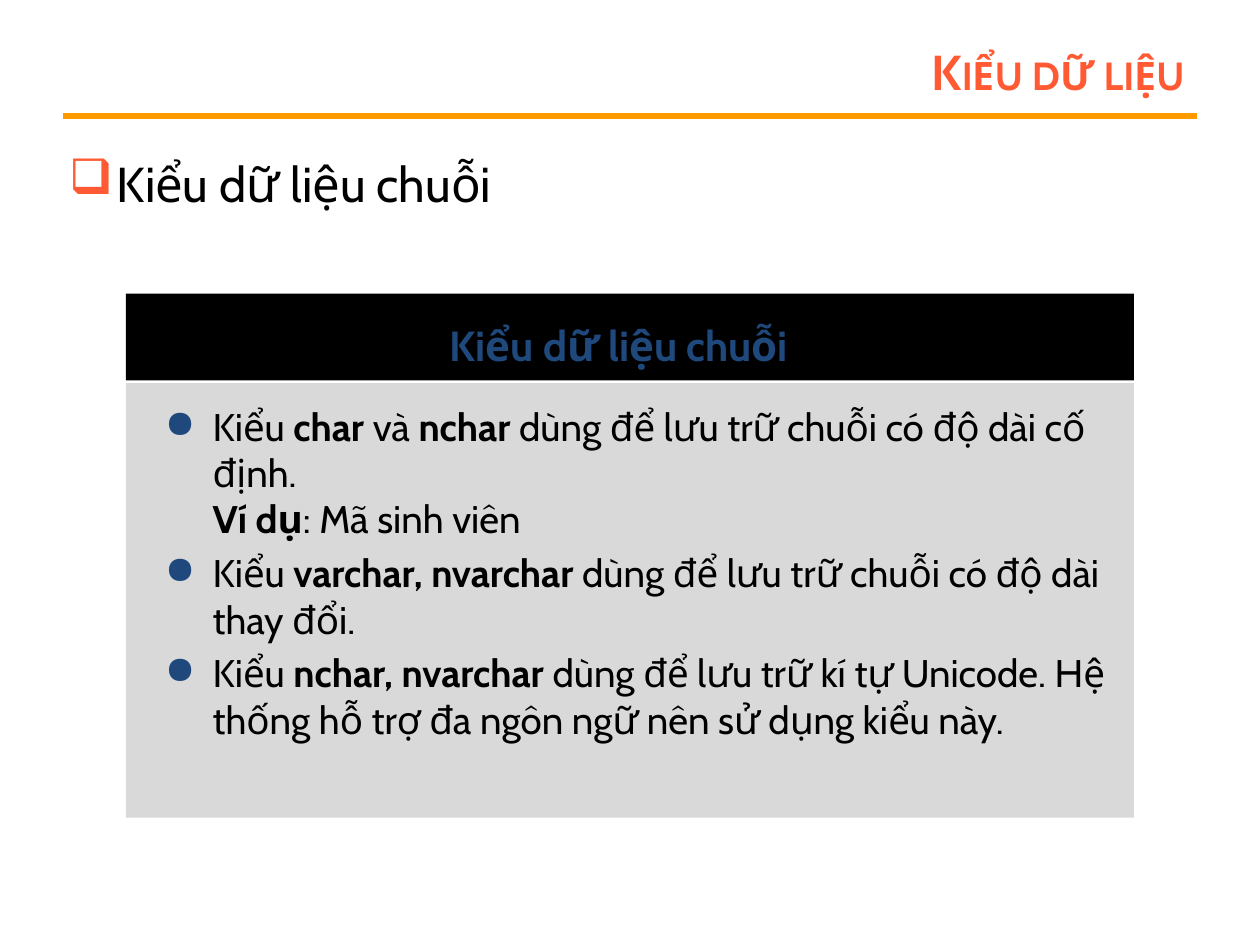
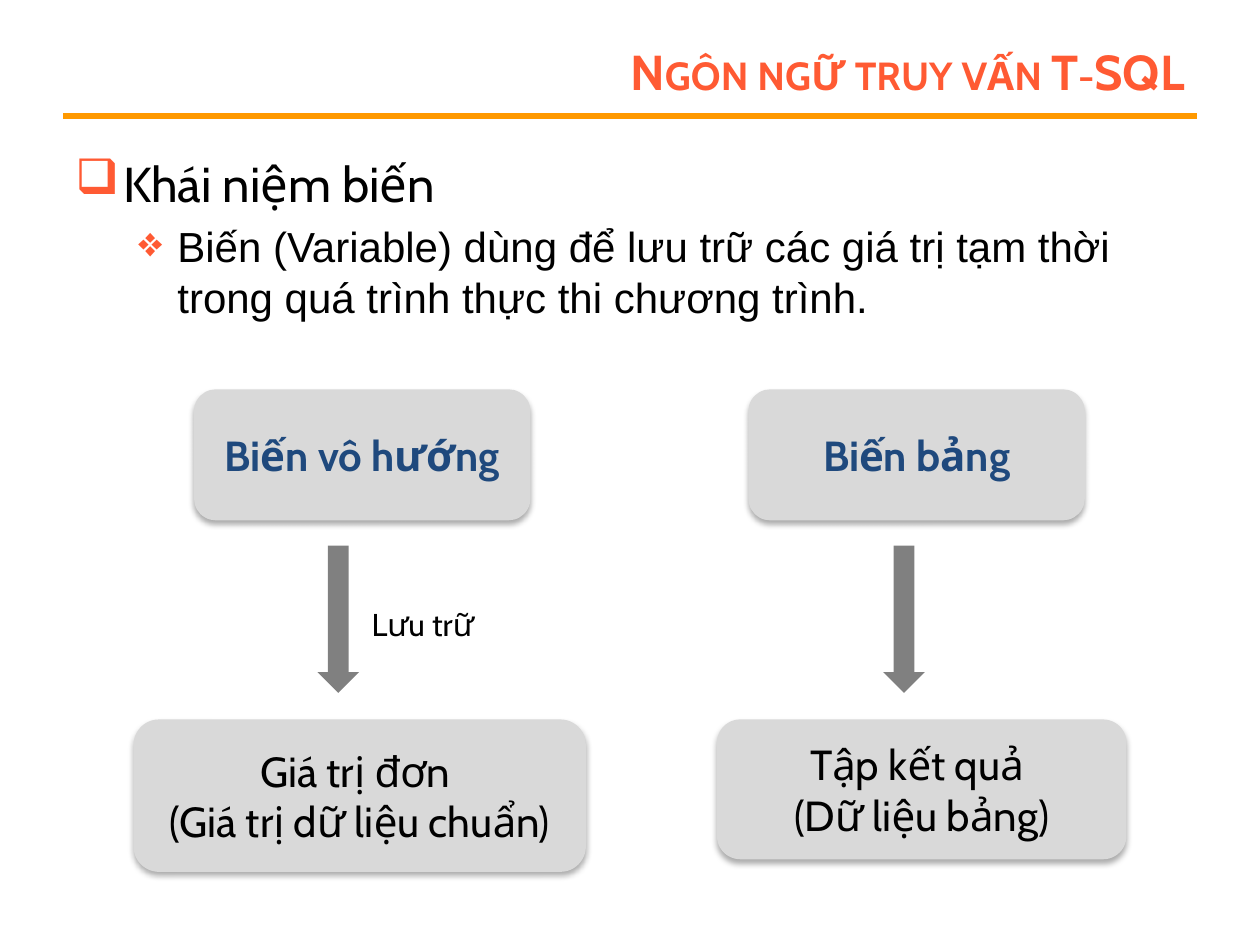
from dataclasses import dataclass

from lxml.etree import SubElement
from pptx import Presentation
from pptx.dml.color import RGBColor
from pptx.enum.shapes import MSO_CONNECTOR, MSO_SHAPE
from pptx.enum.text import MSO_ANCHOR, PP_ALIGN
from pptx.oxml.ns import qn
from pptx.util import Inches, Pt

COLORS = {
    "accent": "FF5A33",
    "rule": "FF9900",
    "navy": "1F497D",
    "text": "000000",
    "panel": "D9D9D9",
    "arrow": "808080",
}
FONT = "Cabin"


@dataclass(frozen=True)
class Box:
    left: float
    top: float
    width: float
    height: float

    def lengths(self) -> tuple:
        return tuple(Inches(n) for n in (self.left, self.top, self.width, self.height))


@dataclass(frozen=True)
class TextStyle:
    size: float
    color: str = "text"
    bold: bool = False
    font: str = FONT


@dataclass(frozen=True)
class Bullet:
    symbol: str
    color: str
    margin: float
    hanging: float
    style: TextStyle


@dataclass(frozen=True)
class Card:
    text: str
    box: Box
    style: TextStyle


TITLE = TextStyle(28, "accent", True)
HEADING = TextStyle(24, "navy", True)
CARD_TEXT = TextStyle(24)
TOPIC = Bullet("❑", "accent", 0.38, 0.38, TextStyle(28))
DETAIL = Bullet("❖", "accent", 0.81, 0.31, TextStyle(24, font="Arial"))
POINT = Bullet("●", "navy", 0.38, 0.38, TextStyle(22))


def rgb(name: str) -> RGBColor:
    return RGBColor.from_string(COLORS[name])


def style_run(run, style: TextStyle) -> None:
    run.font.name = style.font
    run.font.size = Pt(style.size)
    run.font.bold = style.bold
    run.font.color.rgb = rgb(style.color)


def write_text(text_frame, text: str, style: TextStyle, align=PP_ALIGN.LEFT) -> None:
    paragraph = text_frame.paragraphs[0]
    paragraph.text = text
    paragraph.alignment = align
    for run in paragraph.runs:
        style_run(run, style)


def add_text(slide, box: Box, text: str = "", style: TextStyle = CARD_TEXT,
             align=PP_ALIGN.LEFT, wrap: bool = True):
    text_frame = slide.shapes.add_textbox(*box.lengths()).text_frame
    text_frame.word_wrap = wrap
    if text:
        write_text(text_frame, text, style, align)
    return text_frame


def add_bullets(slide, box: Box, items: list[tuple[Bullet, str]]) -> None:
    """Asterisks in an item enclose its bold words; a newline breaks the line."""
    text_frame = add_text(slide, box)
    for index, (bullet, text) in enumerate(items):
        paragraph = text_frame.add_paragraph() if index else text_frame.paragraphs[0]
        paragraph.space_before = Pt(0.2 * bullet.style.size)
        properties = paragraph._p.get_or_add_pPr()
        properties.set("marL", str(Inches(bullet.margin)))
        properties.set("indent", str(-Inches(bullet.hanging)))
        color = SubElement(properties, qn("a:buClr"))
        SubElement(color, qn("a:srgbClr"), val=COLORS[bullet.color])
        SubElement(properties, qn("a:buChar"), char=bullet.symbol)
        for part, words in enumerate(text.split("*")):
            for line, piece in enumerate(words.split("\n")):
                if line:
                    paragraph.add_line_break()
                if piece:
                    run = paragraph.add_run()
                    run.text = piece
                    style_run(run, bullet.style)
                    run.font.bold = part % 2 == 1


def add_shape(slide, kind, box: Box, fill: str):
    shape = slide.shapes.add_shape(kind, *box.lengths())
    shape.shadow.inherit = False
    shape.fill.solid()
    shape.fill.fore_color.rgb = rgb(fill)
    shape.line.fill.background()
    return shape


def add_card(slide, card: Card) -> None:
    shape = add_shape(slide, MSO_SHAPE.ROUNDED_RECTANGLE, card.box, "panel")
    effects = shape._element.spPr.find(qn("a:effectLst"))
    shadow = SubElement(effects, qn("a:outerShdw"), blurRad=str(Pt(3.5)),
                        dist=str(Pt(2.2)), dir="5400000", rotWithShape="0")
    color = SubElement(shadow, qn("a:srgbClr"), val=COLORS["text"])
    SubElement(color, qn("a:alpha"), val="32000")
    shape.text_frame.word_wrap = True
    shape.text_frame.vertical_anchor = MSO_ANCHOR.MIDDLE
    write_text(shape.text_frame, card.text, card.style, PP_ALIGN.CENTER)


def add_titled_slide(presentation, title: str):
    slide = presentation.slides.add_slide(presentation.slide_layouts[6])
    # Rule under the title
    rule = slide.shapes.add_connector(MSO_CONNECTOR.STRAIGHT, Inches(0.5), Inches(0.92),
                                      Inches(9.5), Inches(0.92))
    rule.line.color.rgb = rgb("rule")
    rule.line.width = Pt(3)
    SubElement(rule._element.spPr, qn("a:effectLst"))
    # Title in small capitals
    text_frame = add_text(slide, Box(2.25, 0.3, 7.25, 0.53), title, TITLE, PP_ALIGN.RIGHT)
    text_frame.vertical_anchor = MSO_ANCHOR.MIDDLE
    for run in text_frame.paragraphs[0].runs:
        run._r.get_or_add_rPr().set("cap", "small")
    return slide


def build_string_types(presentation) -> None:
    slide = add_titled_slide(presentation, "Kiểu dữ liệu")
    add_bullets(slide, Box(0.45, 1.17, 9, 5.75), [(TOPIC, "Kiểu dữ liệu chuỗi")])
    # Panel with its header band
    add_shape(slide, MSO_SHAPE.RECTANGLE, Box(1, 3.04, 8, 3.45), "panel")
    add_shape(slide, MSO_SHAPE.RECTANGLE, Box(1, 2.33, 8, 0.69), "text")
    add_bullets(slide, Box(1.21, 3.15, 7.79, 3.08), [
        (POINT, "Kiểu *char* và *nchar* dùng để lưu trữ chuỗi có độ dài cố định.\n"
                "*Ví dụ*: Mã sinh viên"),
        (POINT, "Kiểu *varchar, nvarchar* dùng để lưu trữ chuỗi có độ dài thay đổi."),
        (POINT, "Kiểu *nchar, nvarchar* dùng để lưu trữ kí tự Unicode. "
                "Hệ thống hỗ trợ đa ngôn ngữ nên sử dụng kiểu này."),
    ])
    add_text(slide, Box(3.47, 2.49, 3.06, 0.5), "Kiểu dữ liệu chuỗi", HEADING, wrap=False)


def build_variables(presentation) -> None:
    slide = add_titled_slide(presentation, "Ngôn ngữ truy vấn T-SQL")
    add_bullets(slide, Box(0.5, 1.17, 9, 5.75), [
        (TOPIC, "Khái niệm biến"),
        (DETAIL, "Biến (Variable) dùng để lưu trữ các giá trị tạm thời "
                 "trong quá trình thực thi chương trình."),
    ])
    # Kinds of variable above what they store
    for card in (
        Card("Biến vô hướng", Box(1.54, 3.09, 2.67, 1.04), HEADING),
        Card("Biến bảng", Box(5.94, 3.09, 2.67, 1.04), HEADING),
        Card("Giá trị đơn \v(Giá trị dữ liệu chuẩn)", Box(1.06, 5.71, 3.59, 1.21), CARD_TEXT),
        Card("Tập kết quả \v(Dữ liệu bảng)", Box(5.69, 5.71, 3.25, 1.11), CARD_TEXT),
    ):
        add_card(slide, card)
    # Arrows and their label
    for left in (2.52, 7.01):
        add_shape(slide, MSO_SHAPE.DOWN_ARROW, Box(left, 4.33, 0.33, 1.17), "arrow")
    add_text(slide, Box(2.85, 4.75, 1.08, 0.4), "Lưu trữ", TextStyle(18))


def main() -> None:
    presentation = Presentation()
    presentation.slide_width = Inches(10)
    presentation.slide_height = Inches(7.5)
    build_string_types(presentation)
    build_variables(presentation)
    presentation.save("out.pptx")


if __name__ == "__main__":
    main()
